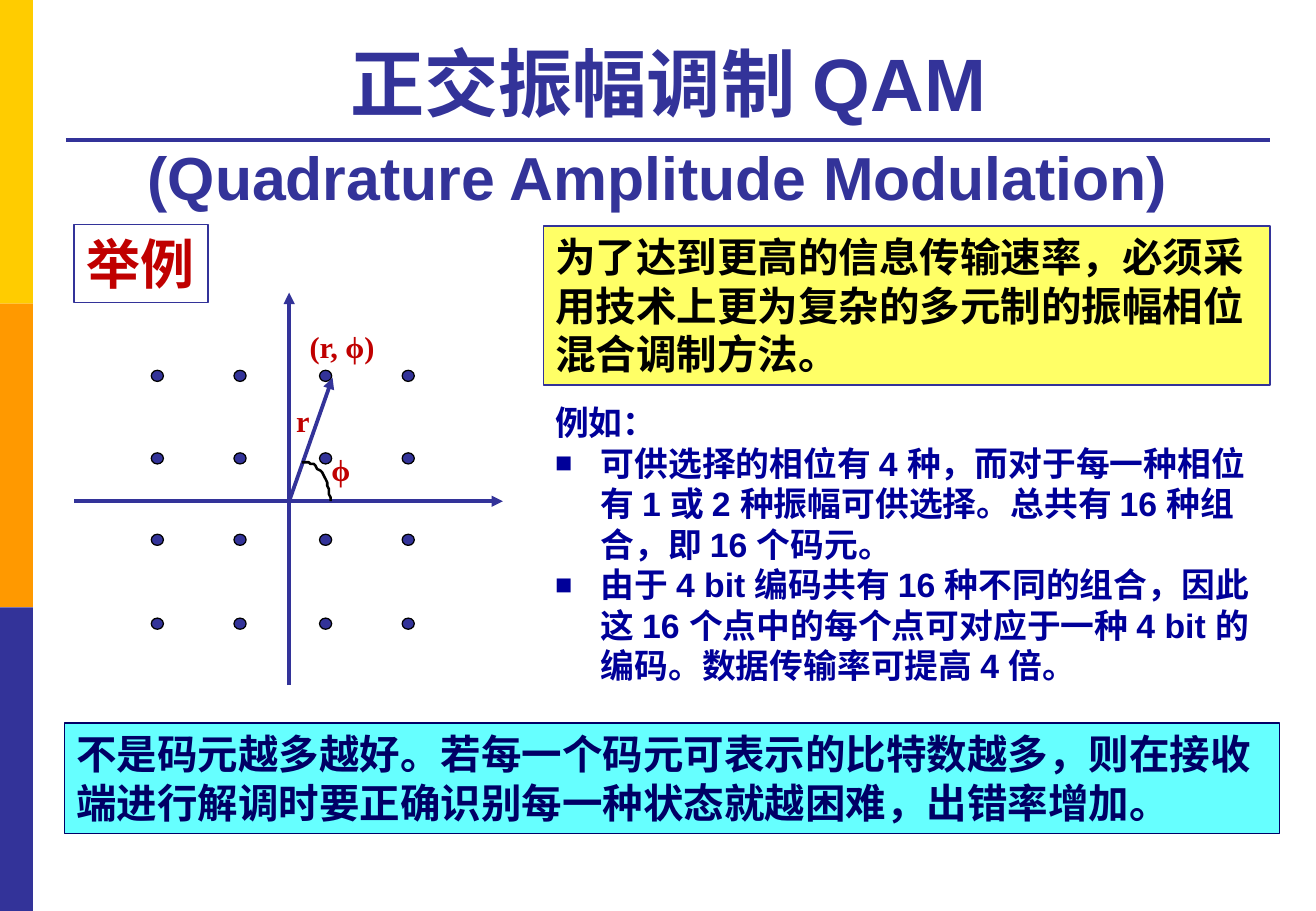
import math

import pptx
import pptx.dml.color
import pptx.enum.shapes
import pptx.enum.text
import pptx.oxml
import pptx.oxml.ns
import pptx.util

Pt = pptx.util.Pt
RGBColor = pptx.dml.color.RGBColor
Shapes = pptx.enum.shapes.MSO_SHAPE
Anchor = pptx.enum.text.MSO_ANCHOR
Align = pptx.enum.text.PP_ALIGN

INDIGO = RGBColor(0x33, 0x33, 0x99)
GOLD = RGBColor(0xFF, 0xCC, 0x00)
ORANGE = RGBColor(0xFF, 0x99, 0x00)
RED = RGBColor(0xC0, 0x00, 0x00)
BLACK = RGBColor(0x00, 0x00, 0x00)
NAVY = RGBColor(0x00, 0x00, 0x66)
BLUE = RGBColor(0x00, 0x00, 0x99)
CYAN = RGBColor(0x66, 0xFF, 0xFF)
YELLOW = RGBColor(0xFF, 0xFF, 0x66)

COLUMNS = (59.4, 108.4, 159.1, 208.1)
ROWS = (49.3, 98.2, 146.5, 196.2)


def add_xml(parent, tag, attributes=""):
    namespace = pptx.oxml.ns.nsdecls("a")
    parent.append(pptx.oxml.parse_xml(f"<a:{tag} {namespace} {attributes}/>"))


def format_runs(paragraph, size, color, font="Arial"):
    for run in paragraph.runs:
        run.font.name = font
        run.font.size = Pt(size)
        run.font.bold = True
        run.font.color.rgb = color


def add_text(slide, box, text, size, color, font="Arial", wrap=True, fill=None, border=None):
    """Add a bold text box, with an optional fill and thin border."""
    shape = slide.shapes.add_textbox(*map(Pt, box))
    if fill is not None:
        shape.fill.solid()
        shape.fill.fore_color.rgb = fill
    if border is not None:
        shape.line.color.rgb = border
        shape.line.width = Pt(0.75)
    text_frame = shape.text_frame
    text_frame.word_wrap = wrap
    text_frame.text = text
    for paragraph in text_frame.paragraphs:
        format_runs(paragraph, size, color, font)
    return text_frame


def add_solid(slide, kind, box, fill, outline=None):
    shape = slide.shapes.add_shape(kind, *map(Pt, box))
    shape.shadow.inherit = False
    shape.fill.solid()
    shape.fill.fore_color.rgb = fill
    if outline is None:
        shape.line.fill.background()
    else:
        shape.line.color.rgb = outline
        shape.line.width = Pt(0.75)


def add_line(slide, start, end, arrow=False):
    line = slide.shapes.add_connector(
        pptx.enum.shapes.MSO_CONNECTOR.STRAIGHT, *map(Pt, (*start, *end)))
    line.line.color.rgb = INDIGO
    line.line.width = Pt(2.25)
    if arrow:
        add_xml(line.line._get_or_add_ln(), "tailEnd", 'type="triangle"')
    add_xml(line._element.spPr, "effectLst")


def add_side_bands(slide, left, top, width, height):
    band = height / 3
    for index, color in enumerate((GOLD, ORANGE, INDIGO)):
        add_solid(slide, Shapes.RECTANGLE, (left, top + index * band, width, band), color)


def add_title(slide, left, top, width, height):
    rule = top + 67.7
    add_line(slide, (left, rule), (left + width, rule))
    text_frame = add_text(slide, (left, top, width, height),
                          "正交振幅调制 QAM\v(Quadrature Amplitude Modulation)", 44, INDIGO)
    text_frame.vertical_anchor = Anchor.BOTTOM
    paragraph = text_frame.paragraphs[0]
    paragraph.alignment = Align.CENTER
    paragraph.add_run().text = " "
    format_runs(paragraph, 44, INDIGO)
    paragraph.runs[1].font.size = Pt(36)


def add_angle_arc(slide, left, top, width, height):
    """Draw a quarter ellipse from the top left to the bottom right of the box."""
    steps = 16
    angles = [math.pi / 2 * step / steps for step in range(steps + 1)]
    points = [(left + width * math.sin(angle), top + height * (1 - math.cos(angle)))
              for angle in angles]
    builder = slide.shapes.build_freeform(*points[0], scale=Pt(1))
    builder.add_line_segments(points[1:], close=False)
    arc = builder.convert_to_shape()
    arc.shadow.inherit = False
    arc.fill.background()
    arc.line.color.rgb = BLACK
    arc.line.width = Pt(1.5)


def add_constellation(slide, left, top, width, height):
    origin_x, origin_y = left + 127.5, top + 123.6
    add_line(slide, (origin_x, top + height), (origin_x, top), arrow=True)
    for row in ROWS:
        for column in COLUMNS:
            dot = (left + column - 10 - 3.6, top + row - 3.3, 7.2, 6.6)
            add_solid(slide, Shapes.OVAL, dot, INDIGO, BLACK)
    add_line(slide, (left, origin_y), (left + width, origin_y), arrow=True)
    add_line(slide, (origin_x, origin_y), (origin_x + 25.7, origin_y - 73.2), arrow=True)
    add_angle_arc(slide, origin_x + 8, origin_y - 23.5, 16.2, 23.5)
    for text, x, y, label_width in (("r", 124.6, 61.2, 22.3),
                                    ("ϕ", 145.4, 90.7, 25.2),
                                    ("(r, ϕ)", 132.5, 17.3, 53.3)):
        add_text(slide, (left + x, top + y, label_width, 28.8), text, 18, RED,
                 "Times New Roman", wrap=False)


def add_example(slide, left, top, width, height):
    text_frame = add_text(
        slide, (left, top, width, height),
        "例如：\n"
        "可供选择的相位有 4 种，而对于每一种相位有 1 或 2 种振幅可供选择。总共有 16 种组合，即 16 个码元。\n"
        "由于 4 bit 编码共有 16 种不同的组合，因此这 16 个点中的每个点可对应于一种 4 bit 的编码。"
        "数据传输率可提高 4 倍。", 20, BLUE)
    for paragraph in text_frame.paragraphs[1:]:
        properties = paragraph._p.get_or_add_pPr()
        properties.set("marL", str(Pt(27)))
        properties.set("indent", str(-Pt(27)))
        add_xml(properties, "buSzPct", 'val="85000"')
        add_xml(properties, "buFont", 'typeface="Arial"')
        add_xml(properties, "buChar", 'char="■"')


def build_qam_slide(slide, width, height):
    add_side_bands(slide, 0, 0, 19.6, height)
    add_title(slide, 39, 15.1, width - 66, 115.9)
    add_constellation(slide, 43.9, 173.5, 254.2, 232.6)
    add_text(slide, (38.3, 428.6, 720, 65.4),
             "不是码元越多越好。若每一个码元可表示的比特数越多，则在接收端进行解调时要正确识别每一种状态就越困难，"
             "出错率增加。", 24, NAVY, fill=CYAN, border=NAVY)
    add_text(slide, (43.9, 133.2, 79.4, 46), "举例", 32, RED, wrap=False, border=INDIGO)
    add_text(slide, (322, 134, 430.8, 94.3),
             "为了达到更高的信息传输速率，必须采用技术上更为复杂的多元制的振幅相位混合调制方法。",
             24, BLACK, fill=YELLOW, border=INDIGO)
    add_example(slide, 322, 234.7, 430.8, 177.1)


def main():
    presentation = pptx.Presentation()
    presentation.slide_width = Pt(780)
    presentation.slide_height = Pt(540)
    slide = presentation.slides.add_slide(presentation.slide_layouts[6])
    build_qam_slide(slide, 780, 540)
    presentation.save("out.pptx")


if __name__ == "__main__":
    main()
